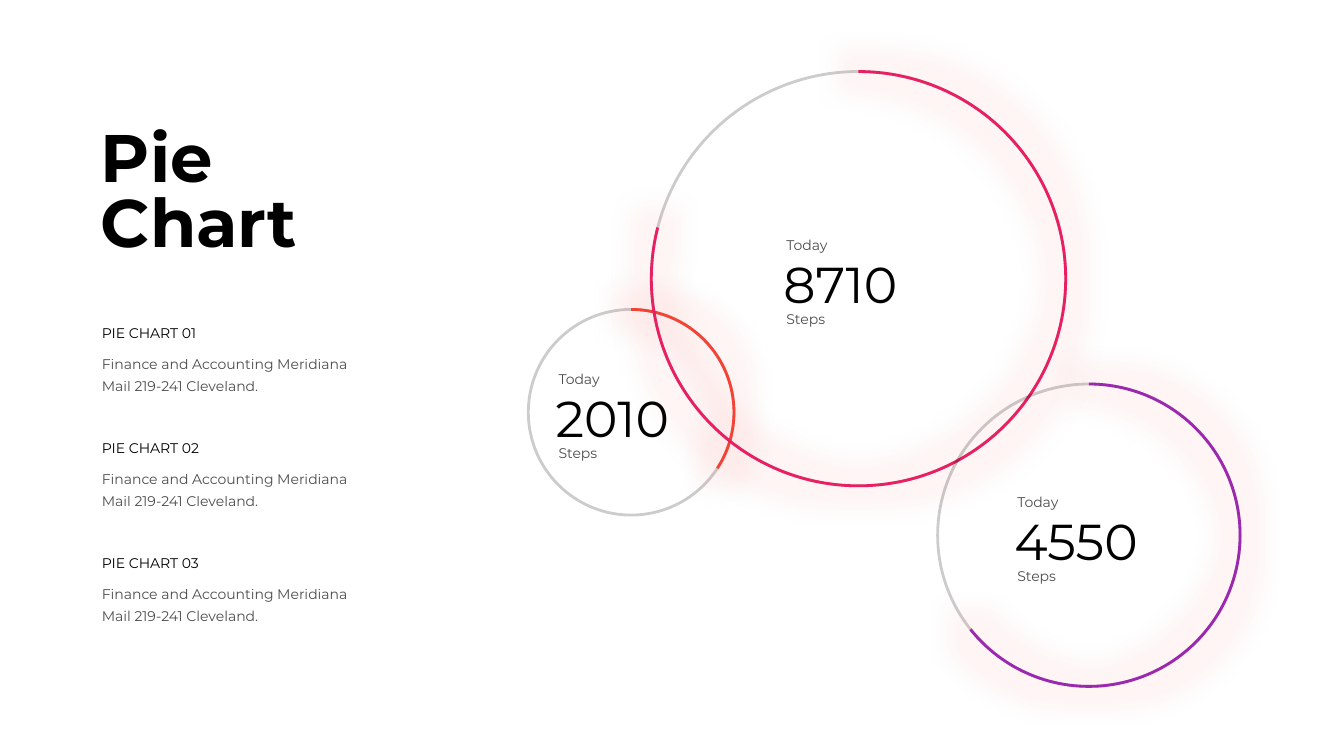
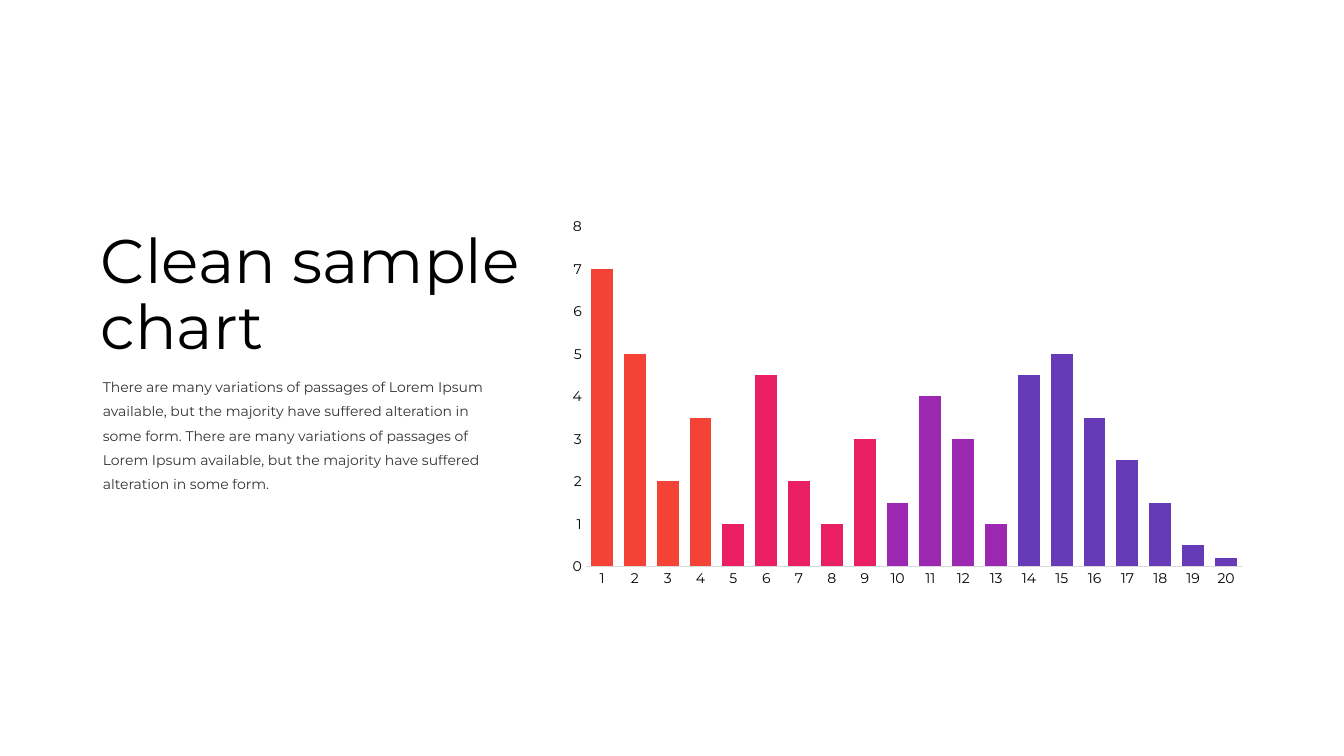
from lxml import etree
from pptx import Presentation
from pptx.chart.data import CategoryChartData
from pptx.dml.color import RGBColor
from pptx.enum.chart import XL_CHART_TYPE, XL_TICK_MARK
from pptx.enum.shapes import MSO_SHAPE
from pptx.enum.text import MSO_ANCHOR, MSO_AUTO_SIZE, PP_ALIGN
from pptx.oxml.ns import qn
from pptx.util import Emu, Pt

ELLIPSE, ARC = MSO_SHAPE.OVAL, MSO_SHAPE.ARC
COLUMNS = XL_CHART_TYPE.COLUMN_CLUSTERED
NO_TICK = XL_TICK_MARK.NONE
TOP, LEFT = MSO_ANCHOR.TOP, PP_ALIGN.LEFT
NO_AUTOFIT = MSO_AUTO_SIZE.NONE

FONT = "Montserrat"
BLACK, GREY, TEAL = "000000", "D9D9D9", "19C0B4"
ORANGE, PINK, PURPLE, INDIGO = "F44336", "E91E63", "9C27B0", "673AB7"
TITLE_ONLY = 5
EMU_PER_PX = 9144
ADJUSTMENT_PER_DEGREE = 0.6


def px(length):
    return Emu(length * EMU_PER_PX)


def rgb(color):
    return RGBColor.from_string(color)


def set_opacity(element, percent):
    for color in element.iter(qn("a:srgbClr")):
        etree.SubElement(color, qn("a:alpha"), val=str(percent * 1000))


def write(frame, text, size=10, color=BLACK, bold=False, opacity=100,
          spacing=1.0, insets=(0, 5, 10, 5)):
    frame.word_wrap = True
    frame.auto_size = NO_AUTOFIT
    frame.vertical_anchor = TOP
    (frame.margin_left, frame.margin_top,
     frame.margin_right, frame.margin_bottom) = map(px, insets)
    paragraph = frame.paragraphs[0]
    paragraph.text = text
    paragraph.alignment = LEFT
    paragraph.line_spacing = spacing
    for run in paragraph.runs:
        run.font.name = FONT
        run.font.size = Pt(size)
        run.font.bold = bold
        run.font.color.rgb = rgb(color)
        if opacity < 100:
            set_opacity(run._r, opacity)


class Deck:
    def __init__(self):
        self.presentation = Presentation()
        self.presentation.slide_width = px(1333)
        self.presentation.slide_height = px(750)
        self.slide = None

    def add_slide(self):
        layout = self.presentation.slide_layouts[TITLE_ONLY]
        self.slide = self.presentation.slides.add_slide(layout)

    def title(self, text, left, top, width, height, **style):
        shape = self.slide.shapes.title
        shape.left, shape.top = px(left), px(top)
        shape.width, shape.height = px(width), px(height)
        write(shape.text_frame, text, **style)

    def text(self, text, left, top, width, height, shapes=None, **style):
        shapes = shapes or self.slide.shapes
        box = shapes.add_textbox(px(left), px(top), px(width), px(height))
        write(box.text_frame, text, **style)

    def outline(self, shapes, preset, left, top, size, color):
        shape = shapes.add_shape(preset, px(left), px(top), px(size), px(size))
        shape.shadow.inherit = False
        shape.fill.background()
        shape.line.color.rgb = rgb(color)
        shape.line.width = Pt(2)
        return shape

    def ring(self, left, top, size, color, end_degree, steps, text_left, text_top):
        shapes = self.slide.shapes.add_group_shape().shapes
        track = self.outline(shapes, ELLIPSE, left, top, size, BLACK)
        set_opacity(track._element.spPr, 20)
        arc = self.outline(shapes, ARC, left, top, size, color)
        arc.adjustments[0] = 270 * ADJUSTMENT_PER_DEGREE
        arc.adjustments[1] = end_degree * ADJUSTMENT_PER_DEGREE
        self.glow(arc)
        self.text(steps, text_left - 3, text_top + 32, 159, 62, shapes,
                  size=36, spacing=0.8)
        for label, offset in (("Steps", 74), ("Today", 0)):
            self.text(label, text_left, text_top + offset, 80, 23, shapes,
                      opacity=70, spacing=1.5, insets=(0, 0, 10, 0))

    def glow(self, shape):
        effects = shape._element.spPr.find(qn("a:effectLst"))
        glow = etree.SubElement(effects, qn("a:glow"), rad=str(px(42)))
        etree.SubElement(glow, qn("a:srgbClr"), val=ORANGE)
        set_opacity(glow, 5)

    def column_chart(self, left, top, width, height, values, colors):
        data = CategoryChartData()
        data.categories = [str(number) for number in range(1, len(values) + 1)]
        data.add_series("Series 1", values)
        chart = self.slide.shapes.add_chart(
            COLUMNS, px(left), px(top), px(width), px(height), data).chart
        chart.has_legend = False
        chart.has_title = False
        chart.font.name = FONT
        chart.font.size = Pt(10)
        chart.font.color.rgb = rgb(BLACK)

        category_axis, value_axis = chart.category_axis, chart.value_axis
        for axis in (category_axis, value_axis):
            axis.has_major_gridlines = False
            axis.major_tick_mark = NO_TICK
            axis.minor_tick_mark = NO_TICK
        category_axis.format.line.color.rgb = rgb(GREY)
        category_axis.format.line.width = Pt(0.75)
        value_axis.format.line.fill.background()
        value_axis.minimum_scale, value_axis.maximum_scale = 0, 8
        value_axis.major_unit = 1

        plot = chart.plots[0]
        plot.vary_by_categories = False
        plot.gap_width, plot.overlap = 50, -27
        series = plot.series[0]
        series.format.fill.solid()
        series.format.fill.fore_color.rgb = rgb(TEAL)
        for index, color in enumerate(colors):
            fill = series.points[index].format.fill
            fill.solid()
            fill.fore_color.rgb = rgb(color)


def build_pie_slide(deck):
    deck.add_slide()
    deck.title("Pie\vChart", 100, 125, 327, 140, size=48, bold=True, spacing=0.8)
    deck.ring(524, 307, 204, ORANGE, 33, "2010", 554, 359)
    deck.ring(646, 71, 411, PINK, 194.3, "8710", 780, 226)
    deck.ring(930, 381, 300, PURPLE, 141.5, "4550", 1009, 481)
    for index in range(3):
        top = 317 + 114 * index
        deck.text(f"PIE CHART 0{index + 1}", 101, top, 224, 27)
        deck.text("Finance and Accounting Meridiana Mail 219-241 Cleveland.",
                  101, top + 26, 255, 54, opacity=70, spacing=1.3)


def build_column_slide(deck):
    deck.add_slide()
    deck.title("Clean sample\vchart", 90, 223, 482, 133, size=44, spacing=0.9,
               insets=(10, 5, 10, 5))
    deck.text("There are many variations of passages of Lorem Ipsum available, "
              "but the majority have suffered alteration in some form. "
              "There are many variations of passages of Lorem Ipsum available, "
              "but the majority have suffered alteration in some form.",
              102, 363, 400, 172, opacity=80, spacing=1.45, insets=(0, 5, 0, 5))
    values = (7, 5, 2, 3.5, 1, 4.5, 2, 1, 3, 1.5,
              4, 3, 1, 4.5, 5, 3.5, 2.5, 1.5, 0.5, 0.2)
    colors = [ORANGE] * 4 + [PINK] * 5 + [PURPLE] * 4 + [INDIGO] * 7
    deck.column_chart(554, 209, 692, 381, values, colors)


def main():
    deck = Deck()
    build_pie_slide(deck)
    build_column_slide(deck)
    deck.presentation.save("out.pptx")


if __name__ == "__main__":
    main()
